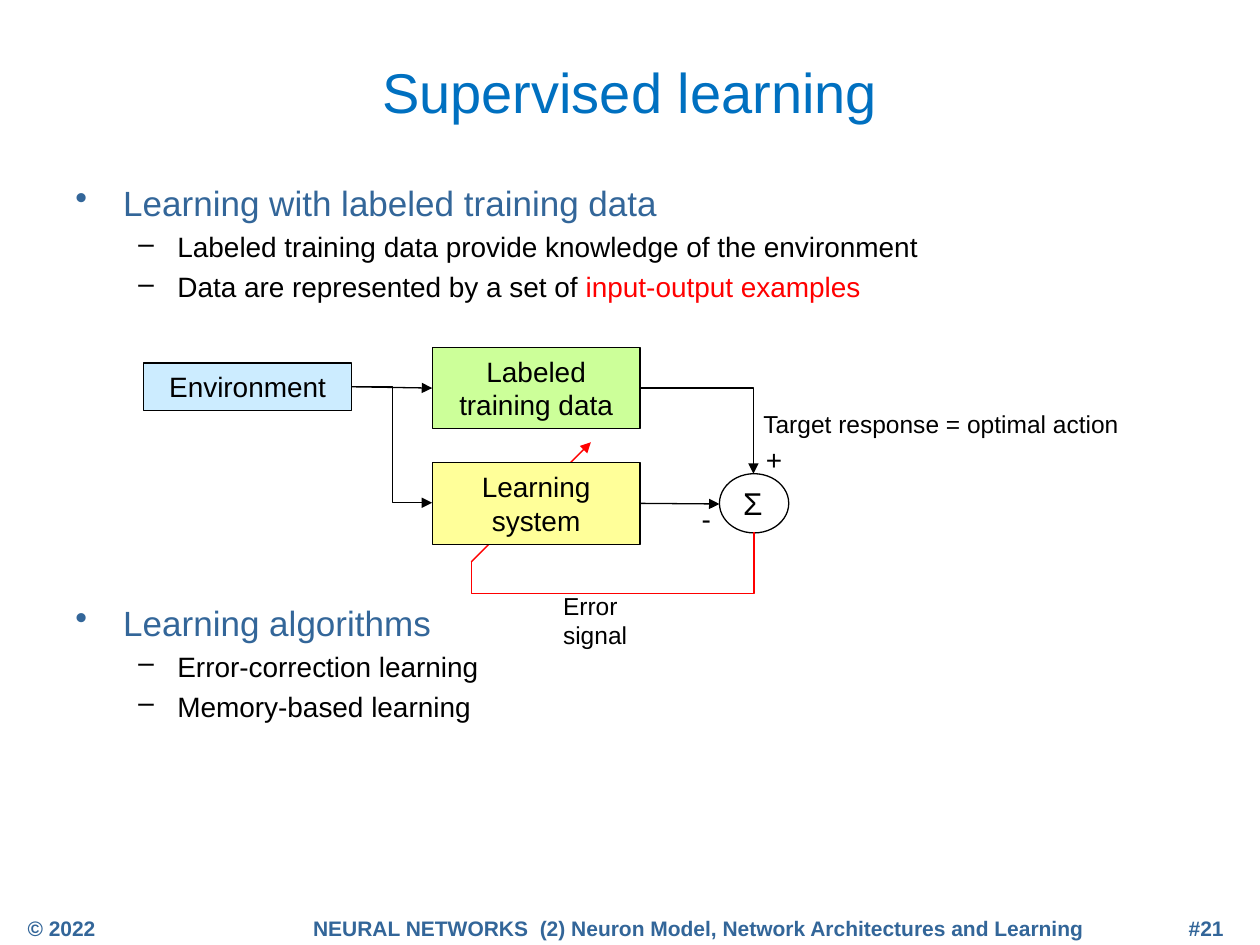
from dataclasses import dataclass

from lxml.etree import SubElement
from pptx import Presentation
from pptx.dml.color import RGBColor
from pptx.enum.shapes import MSO_CONNECTOR, MSO_SHAPE
from pptx.enum.text import MSO_ANCHOR, PP_ALIGN
from pptx.oxml.ns import qn
from pptx.util import Inches, Pt


@dataclass(frozen=True)
class Theme:
    font: str = "Arial"
    title: str = "0070C0"
    heading: str = "336699"
    text: str = "000000"
    accent: str = "FF0000"
    environment: str = "CCECFF"
    data: str = "CCFF99"
    system: str = "FFFF99"
    title_size: int = 32
    heading_size: int = 20
    sum_size: int = 18
    body_size: int = 16
    label_size: int = 14
    footer_size: int = 12
    line_width: float = 0.75


THEME = Theme()

# Each item: level, space before in points, runs as (text, colour)
BULLETS = [
    (0, 4, [("Learning with labeled training data", THEME.heading)]),
    (1, 3.7, [("Labeled training data provide knowledge of the environment", THEME.text)]),
    (1, 3.7, [("Data are represented by a set of ", THEME.text),
              ("input-output examples", THEME.accent)]),
    (0, 170, [("Learning algorithms", THEME.heading)]),
    (1, 3.7, [("Error-correction learning", THEME.text)]),
    (1, 3.7, [("Memory-based learning", THEME.text)]),
]
# Each level: bullet character, left margin, hanging indent, type size
LEVELS = [("•", 0.38, 0.38, THEME.heading_size), ("–", 0.81, 0.31, THEME.body_size)]


def inches(*values):
    return [Inches(value) for value in values]


def format_run(run, size, color, bold=False):
    run.font.name = THEME.font
    run.font.size = Pt(size)
    run.font.bold = bold
    run.font.color.rgb = RGBColor.from_string(color)


def write(shape, text, size, color=THEME.text, align=PP_ALIGN.LEFT,
          anchor=MSO_ANCHOR.TOP, bold=False, wrap=True):
    text_frame = shape.text_frame
    text_frame.text = text
    text_frame.word_wrap = wrap
    text_frame.vertical_anchor = anchor
    paragraph = text_frame.paragraphs[0]
    paragraph.alignment = align
    format_run(paragraph.runs[0], size, color, bold)


def add_text(slide, box, text, size, **options):
    write(slide.shapes.add_textbox(*inches(*box)), text, size, **options)


def add_bullets(slide, box):
    text_frame = slide.shapes.add_textbox(*inches(*box)).text_frame
    text_frame.word_wrap = True
    for index, (level, space, runs) in enumerate(BULLETS):
        paragraph = text_frame.add_paragraph() if index else text_frame.paragraphs[0]
        character, margin, hanging, size = LEVELS[level]
        paragraph.level = level
        paragraph.space_before = Pt(space)
        for text, color in runs:
            run = paragraph.add_run()
            run.text = text
            format_run(run, size, color)
        properties = paragraph._p.get_or_add_pPr()
        properties.set("marL", str(Inches(margin)))
        properties.set("indent", str(-Inches(hanging)))
        SubElement(properties, qn("a:buChar")).set("char", character)


def add_node(slide, kind, box, fill=None):
    shape = slide.shapes.add_shape(kind, *inches(*box))
    shape.shadow.inherit = False
    if fill:
        shape.fill.solid()
        shape.fill.fore_color.rgb = RGBColor.from_string(fill)
    else:
        shape.fill.background()
    shape.line.color.rgb = RGBColor.from_string(THEME.text)
    shape.line.width = Pt(THEME.line_width)
    return shape


def add_block(slide, box, text, fill):
    shape = add_node(slide, MSO_SHAPE.RECTANGLE, box, fill)
    write(shape, text, THEME.body_size, align=PP_ALIGN.CENTER, anchor=MSO_ANCHOR.MIDDLE)
    return shape


def add_link(slide, start, end, kind=MSO_CONNECTOR.STRAIGHT, color=THEME.text, arrow=True):
    connector = slide.shapes.add_connector(kind, *inches(*start, *end))
    connector.line.color.rgb = RGBColor.from_string(color)
    connector.line.width = Pt(THEME.line_width)
    if arrow:
        SubElement(connector.line._get_or_add_ln(), qn("a:tailEnd")).set("type", "triangle")
    SubElement(connector._element.spPr, qn("a:effectLst"))
    return connector


def bend(connector, preset, adjustment=None, rotation=0):
    properties = connector._element.spPr
    geometry = properties.find(qn("a:prstGeom"))
    geometry.set("prst", preset)
    if adjustment is not None:
        values = geometry.find(qn("a:avLst"))
        if values is None:
            values = SubElement(geometry, qn("a:avLst"))
        guide = SubElement(values, qn("a:gd"))
        guide.set("name", "adj1")
        guide.set("fmla", f"val {round(adjustment * 100000)}")
    if rotation:
        properties.find(qn("a:xfrm")).set("rot", str(rotation * 60000))


def add_diagram(slide):
    elbow = MSO_CONNECTOR.ELBOW

    # Adjustment arrow passes behind the learning system
    add_link(slide, (3.74, 4.46), (4.69, 3.51), color=THEME.accent)

    # Blocks and summing node
    environment = add_block(slide, (1.14, 2.88, 1.65, 0.38), "Environment", THEME.environment)
    data = add_block(slide, (3.43, 2.76, 1.65, 0.64), "Labeled training data", THEME.data)
    system = add_block(slide, (3.43, 3.67, 1.65, 0.65), "Learning system", THEME.system)
    add_node(slide, MSO_SHAPE.OVAL, (5.71, 3.76, 0.55, 0.47))

    # Signal flow
    bend(add_link(slide, (2.8, 3.07), (3.43, 3.99), elbow), "bentConnector3", 0.5)
    to_data = add_link(slide, (2.79, 3.07), (3.43, 3.08))
    to_data.begin_connect(environment, 3)
    to_data.end_connect(data, 1)
    bend(add_link(slide, (5.08, 3.08), (5.98, 3.76), elbow), "bentConnector2")
    add_link(slide, (5.08, 4), (5.71, 4)).begin_connect(system, 3)

    # Error feedback: the elbow is turned to leave the node downwards
    feedback = add_link(slide, (4.75, 3.22), (4.98, 5.46), elbow, THEME.accent, arrow=False)
    bend(feedback, "bentConnector3", 2.11, 90)

    # Labels
    for box, text, size, wrap in [
        ((5.98, 3.46, 0.33, 0.37), "+", THEME.body_size, False),
        ((5.47, 3.93, 0.28, 0.37), "-", THEME.body_size, False),
        ((5.8, 3.79, 0.36, 0.4), "Σ", THEME.sum_size, False),
        ((4.37, 4.64, 1.15, 0.33), "Error signal", THEME.label_size, True),
        ((5.96, 3.2, 3.03, 0.33), "Target response = optimal action", THEME.label_size, False),
    ]:
        add_text(slide, box, text, size, wrap=wrap)


def add_footer(slide):
    for left, width, text, align in [
        (0.12, 2.69, "© 2022", PP_ALIGN.LEFT),
        (2.16, 6.77, "NEURAL NETWORKS  (2) Neuron Model, Network Architectures and Learning",
         PP_ALIGN.CENTER),
        (7.2, 2.61, "#21", PP_ALIGN.RIGHT),
    ]:
        add_text(slide, (left, 7.22, width, 0.24), text, THEME.footer_size,
                 color=THEME.heading, align=align, bold=True)


def main():
    presentation = Presentation()
    presentation.slide_width, presentation.slide_height = inches(10, 7.5)
    slide = presentation.slides.add_slide(presentation.slide_layouts[6])
    add_footer(slide)
    add_text(slide, (0.5, 0.3, 9, 0.85), "Supervised learning", THEME.title_size,
             color=THEME.title, align=PP_ALIGN.CENTER, anchor=MSO_ANCHOR.MIDDLE)
    add_bullets(slide, (0.5, 1.39, 9, 5.59))
    add_diagram(slide)
    presentation.save("out.pptx")


if __name__ == "__main__":
    main()
